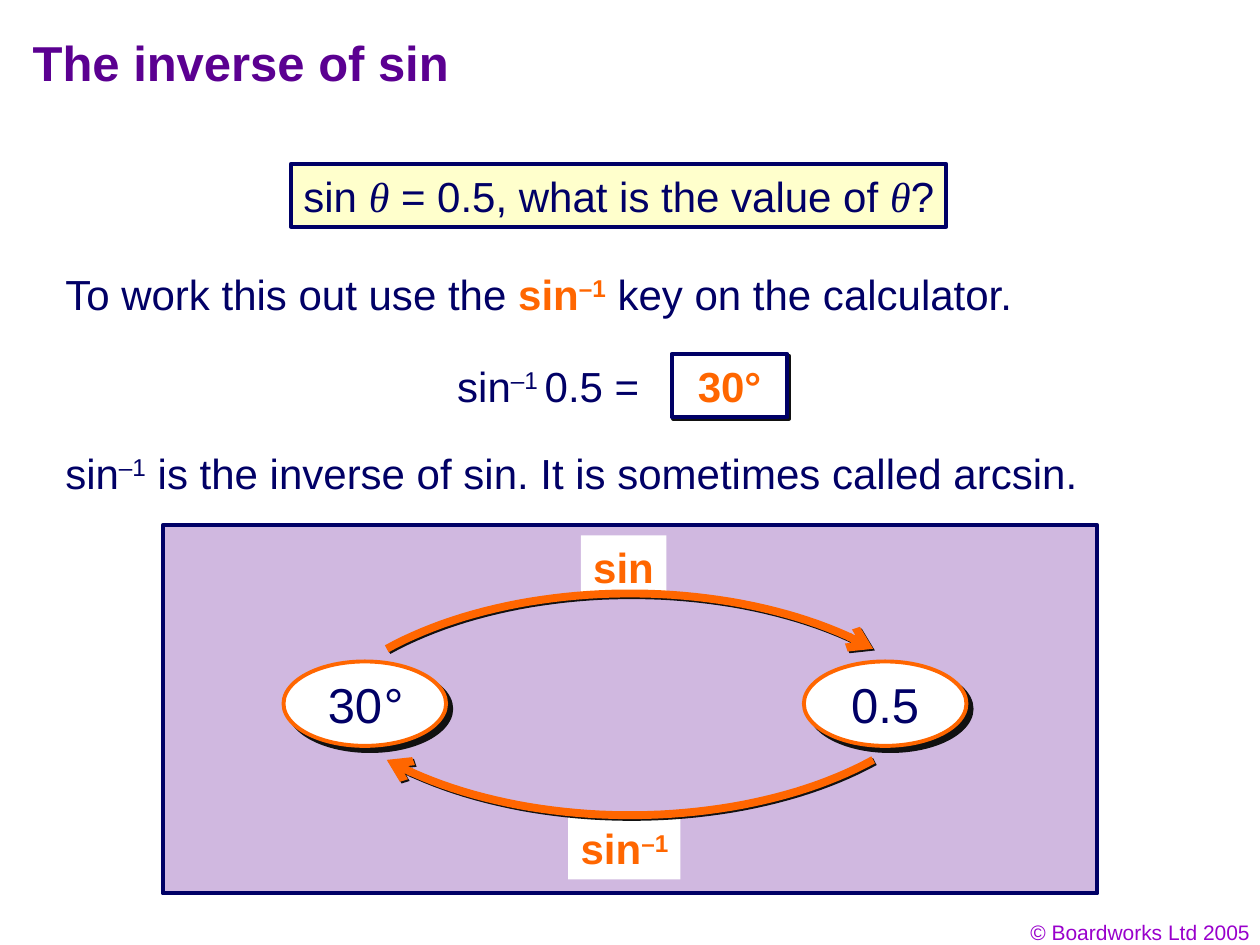
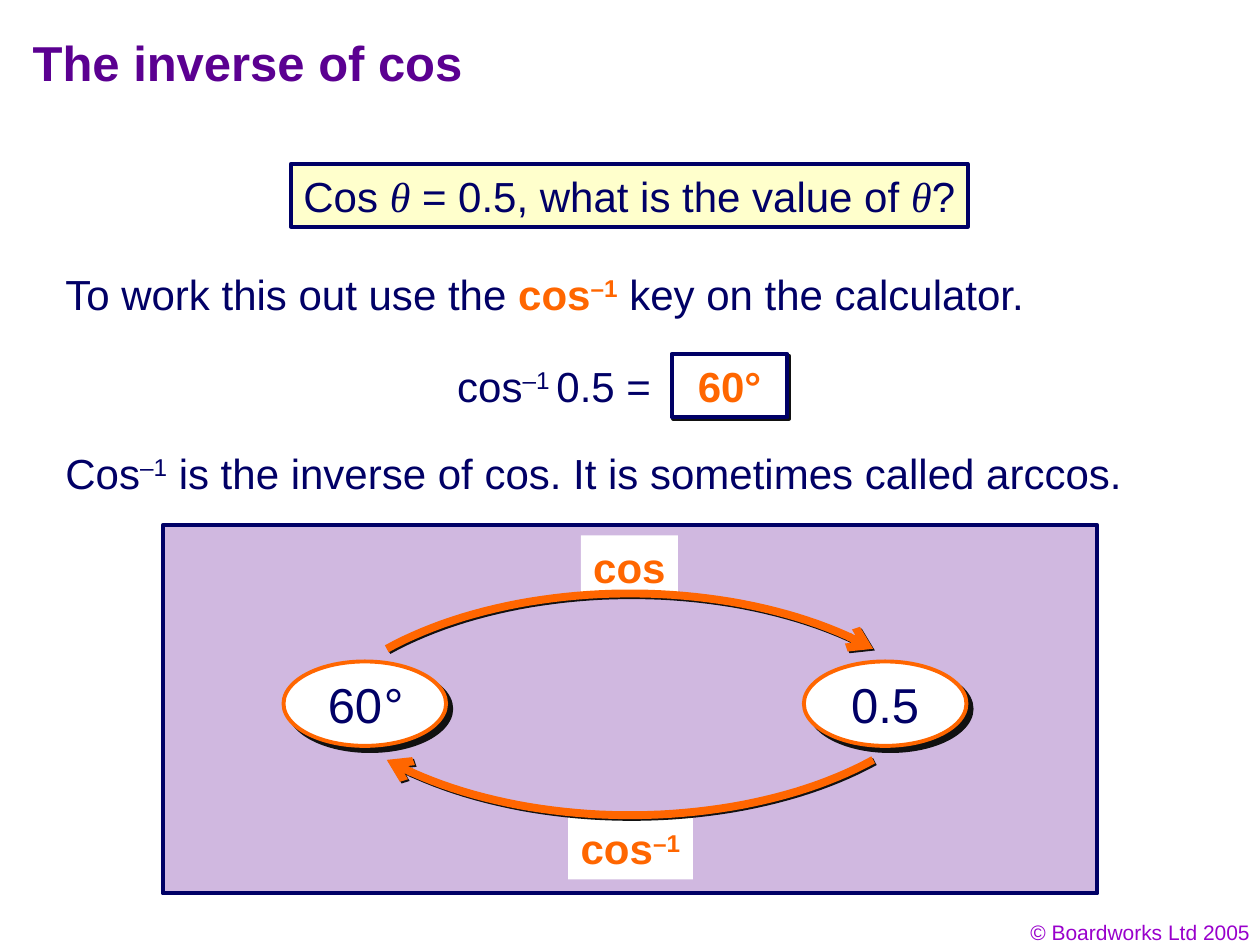
import dataclasses
import math
import typing

import lxml.etree
import pptx
import pptx.dml.color
import pptx.enum.shapes
import pptx.enum.text
import pptx.oxml.ns
import pptx.util

Inches = pptx.util.Inches
Align = pptx.enum.text.PP_ALIGN
Preset = pptx.enum.shapes.MSO_SHAPE

FONT = "Arial"
SYMBOL_FONT = "Times New Roman"
NAVY = "000066"
INK = "010066"
ORANGE = "FF6600"
PURPLE = "5B0091"
VIOLET = "9900CC"
LILAC = "D0B8E0"
CREAM = "FFFFCC"
WHITE = "FFFFFF"
SHADOW = "111111"


class Span(typing.NamedTuple):
    text: str
    color: str | None = None
    bold: bool | None = None
    italic: bool | None = None
    font: str | None = None
    raised: bool = False


class Area(typing.NamedTuple):
    left: float
    top: float
    width: float
    height: float = 0.5

    def lengths(self) -> list[int]:
        return [Inches(value) for value in self]


class TextStyle(typing.NamedTuple):
    size: float = 24
    color: str = INK
    bold: bool = False
    align: Align = Align.LEFT


class Arc(typing.NamedTuple):
    """Part of an ellipse, from one angle to another in degrees."""
    center_x: float
    center_y: float
    start: int
    end: int


@dataclasses.dataclass(frozen=True)
class TrigFunction:
    name: str
    opening: str
    angle: str
    question_width: float
    instruction_width: float
    calculation_width: float
    statement_width: float
    label_width: float
    inverse_width: float


FUNCTIONS = [
    TrigFunction("sin", "sin", "30", 5.2, 7.77, 1.79, 8.23, 0.68, 0.89),
    TrigFunction("cos", "Cos", "60", 5.37, 7.86, 1.88, 8.58, 0.77, 0.99),
]

BODY = TextStyle()
KEY = TextStyle(color=ORANGE, bold=True)
ANSWER = TextStyle(color=ORANGE, bold=True, align=Align.CENTER)
BUBBLE = TextStyle(size=28, align=Align.CENTER)
TITLE = TextStyle(size=28, color=PURPLE, bold=True)
FOOTER = TextStyle(size=12, color=VIOLET, align=Align.RIGHT)

THETA = Span("θ", italic=True, font=SYMBOL_FONT)
POWER = Span("–1", raised=True)
ARC_RADIUS_X, ARC_RADIUS_Y = 2.73, 1.5
ARCS = [Arc(5, 6.21, 225, 315), Arc(5, 4.97, 45, 135)]


def rgb(color: str) -> pptx.dml.color.RGBColor:
    return pptx.dml.color.RGBColor.from_string(color)


def write(box, spans: list[Span], style: TextStyle) -> None:
    frame = box.text_frame
    frame.word_wrap = False
    frame.auto_size = pptx.enum.text.MSO_AUTO_SIZE.NONE
    frame.vertical_anchor = pptx.enum.text.MSO_ANCHOR.MIDDLE
    frame.margin_left = frame.margin_right = Inches(0.1)
    frame.margin_top = frame.margin_bottom = 0
    para = frame.paragraphs[0]
    para.alignment = style.align
    para.font.name = FONT
    para.font.size = pptx.util.Pt(style.size)
    para.font.bold = style.bold
    para.font.color.rgb = rgb(style.color)
    for span in spans:
        run = para.add_run()
        run.text = span.text
        run.font.bold = span.bold
        run.font.italic = span.italic
        run.font.name = span.font
        if span.color:
            run.font.color.rgb = rgb(span.color)
        if span.raised:
            run.font._element.set("baseline", "30000")


def add_text(page, area: Area, spans: list[Span], style: TextStyle = BODY) -> None:
    write(page.shapes.add_textbox(*area.lengths()), spans, style)


def set_line(shape, color: str, width: float) -> None:
    shape.line.color.rgb = rgb(color)
    shape.line.width = pptx.util.Pt(width)


def add_shadow(shape, distance: float) -> None:
    """Cast a hard shadow down and to the right; distance is in points."""
    qn = pptx.oxml.ns.qn
    effects = shape._element.spPr.find(qn("a:effectLst"))
    shadow = lxml.etree.SubElement(
        effects, qn("a:outerShdw"), blurRad="0", dist=str(pptx.util.Pt(distance)),
        dir="2700000", algn="ctr", rotWithShape="0")
    lxml.etree.SubElement(shadow, qn("a:srgbClr"), val=SHADOW)


def add_block(page, area: Area, fill: str, line: str | None = None,
              preset: Preset = Preset.RECTANGLE, shadow: float = 0):
    shape = page.shapes.add_shape(preset, *area.lengths())
    shape.shadow.inherit = False
    shape.fill.solid()
    shape.fill.fore_color.rgb = rgb(fill)
    if line:
        set_line(shape, line, 2.25)
    else:
        shape.line.fill.background()
    if shadow:
        add_shadow(shape, shadow)
    return shape


def add_curved_arrow(page, arc: Arc) -> None:
    points = []
    for degrees in range(arc.start, arc.end + 1, 2):
        angle = math.radians(degrees)
        points.append((Inches(arc.center_x + ARC_RADIUS_X * math.cos(angle)),
                       Inches(arc.center_y + ARC_RADIUS_Y * math.sin(angle))))
    builder = page.shapes.build_freeform(*points[0])
    builder.add_line_segments(points[1:], close=False)
    arrow = builder.convert_to_shape()
    arrow.shadow.inherit = False
    arrow.fill.background()
    set_line(arrow, ORANGE, 4.5)
    lxml.etree.SubElement(arrow.line._get_or_add_ln(),
                          pptx.oxml.ns.qn("a:tailEnd"), type="arrow")
    add_shadow(arrow, 1.4)


def add_title(page, text: str) -> None:
    title = page.shapes.title
    title.left, title.top, title.width, title.height = Area(0.16, 0.16, 8.5, 0.67).lengths()
    write(title, [Span(text)], TITLE)


def add_explanation(page, trig: TrigFunction) -> None:
    question = add_block(page, Area(2.31, 1.3, trig.question_width), CREAM, NAVY)
    write(question, [Span(f"{trig.opening} "), THETA,
                     Span(" = 0.5, what is the value of "), THETA, Span("?")], BODY)
    add_text(page, Area(0.42, 2.08, trig.instruction_width), [
        Span("To work this out use the "),
        Span(trig.name, ORANGE, bold=True),
        POWER._replace(color=ORANGE, bold=True),
        Span(" key on the calculator.")])
    add_text(page, Area(3.53, 2.81, trig.calculation_width), [
        Span(trig.name), POWER._replace(text="–1 "), Span("0.5 =")])
    answer = add_block(page, Area(5.33, 2.81, 0.92), WHITE, NAVY, shadow=1.4)
    write(answer, [Span(f"{trig.angle}°")], ANSWER)
    add_text(page, Area(0.42, 3.5, trig.statement_width), [
        Span(trig.opening), POWER,
        Span(f" is the inverse of {trig.name}. It is sometimes called arc{trig.name}.")])


def add_cycle(page, trig: TrigFunction) -> None:
    """Show the function and its inverse as arrows between angle and value."""
    add_block(page, Area(1.29, 4.17, 7.42, 2.92), LILAC, NAVY)
    bubbles = [(2.25, [Span(trig.angle), Span("°", italic=True)]),
               (6.38, [Span("0.5")])]
    for left, spans in bubbles:
        bubble = add_block(page, Area(left, 5.25, 1.29, 0.67), WHITE, ORANGE,
                           Preset.OVAL, shadow=4.2)
        write(bubble, spans, BUBBLE)
    labels = [(Area(4.61, 4.25, trig.label_width), [Span(trig.name)]),
              (Area(4.51, 6.48, trig.inverse_width), [Span(trig.name), POWER])]
    for (area, spans), arc in zip(labels, ARCS):
        write(add_block(page, area, WHITE), spans, KEY)
        add_curved_arrow(page, arc)


def main() -> None:
    deck = pptx.Presentation()
    deck.slide_width, deck.slide_height = Inches(10), Inches(7.5)
    title_only = deck.slide_layouts[5]
    for trig in FUNCTIONS:
        page = deck.slides.add_slide(title_only)
        add_title(page, f"The inverse of {trig.name}")
        add_explanation(page, trig)
        add_cycle(page, trig)
        add_text(page, Area(7.69, 7.25, 2.33, 0.3), [Span("© Boardworks Ltd 2005")], FOOTER)
    deck.save("out.pptx")


if __name__ == "__main__":
    main()
